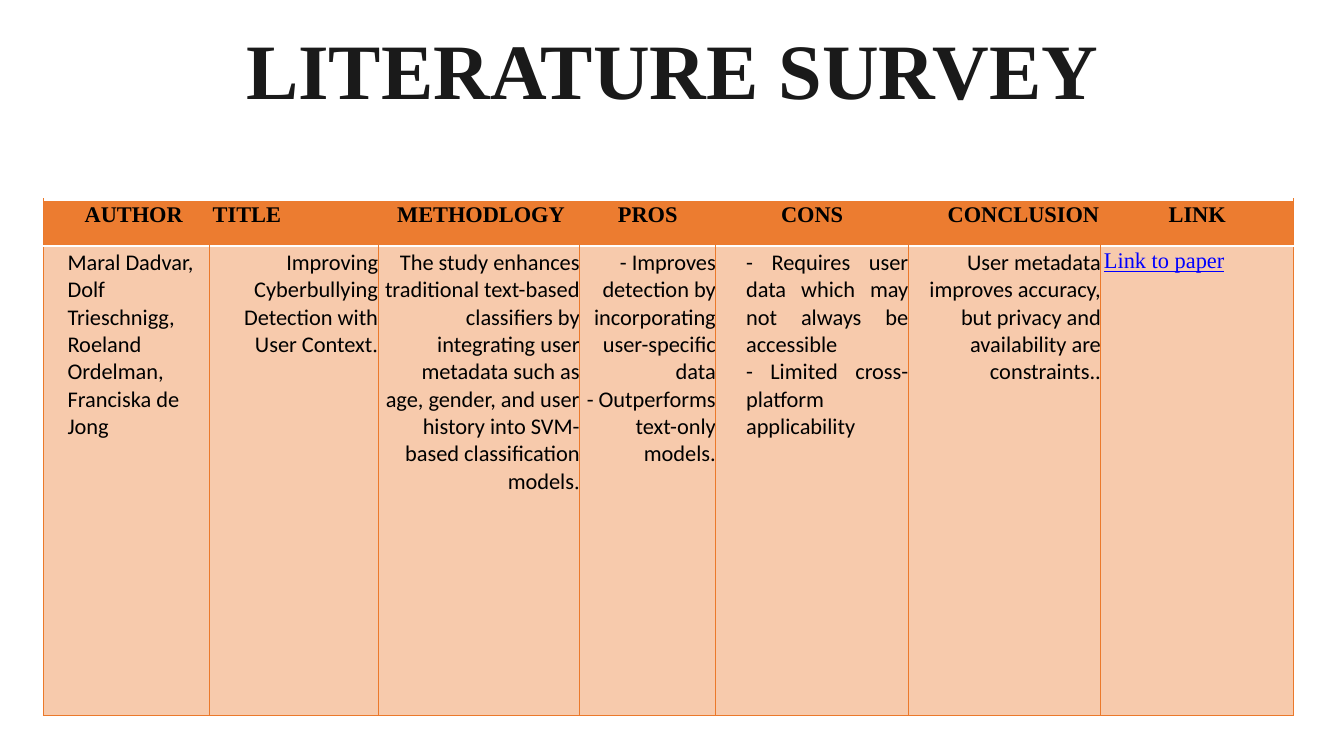
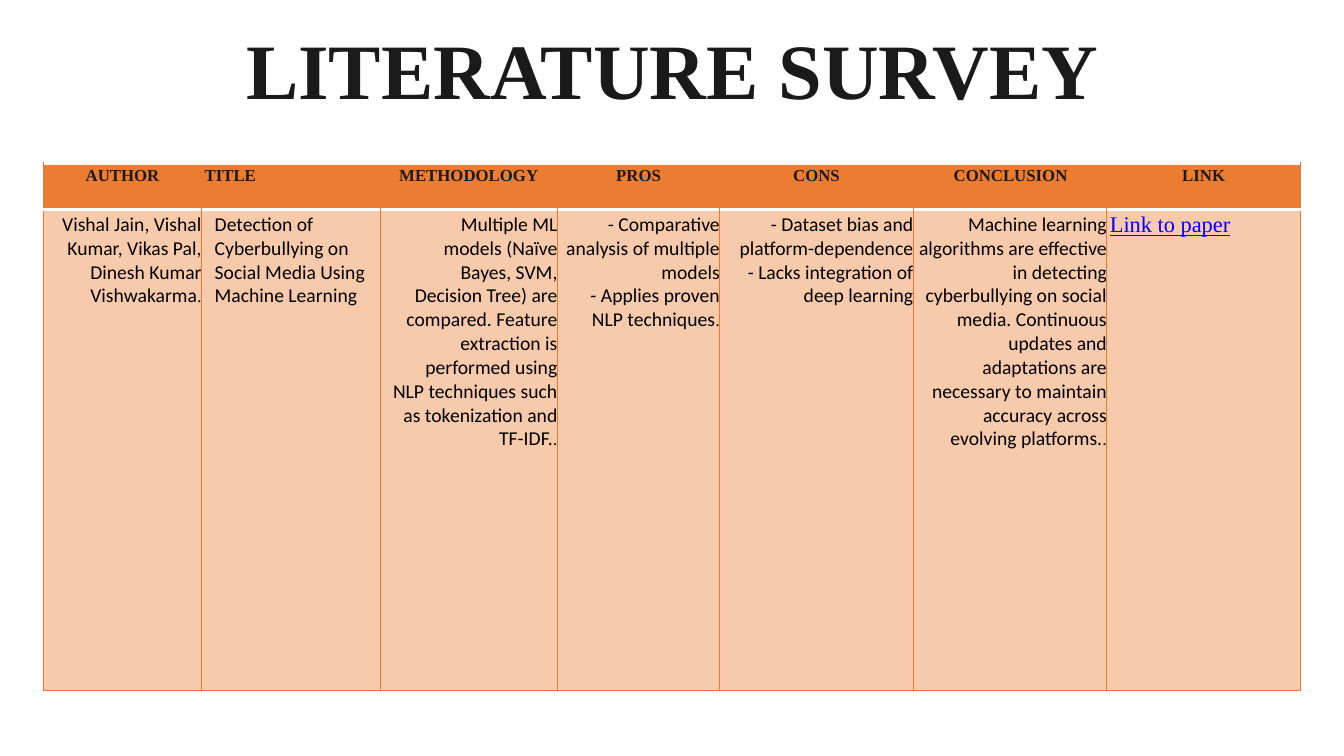
from copy import deepcopy

from lxml.etree import SubElement
from pptx import Presentation
from pptx.dml.color import RGBColor
from pptx.enum.text import PP_ALIGN
from pptx.oxml.ns import qn
from pptx.util import Inches, Pt

COLORS = {"title": "1A1A1A", "black": "000000", "orange": "EC7C30", "line": "EB792B",
          "white": "FFFFFF", "link": "0000FF", "brown": "2D1200"}
SERIF, SANS = "Times New Roman", "Calibri"
LEFT, CENTER, RIGHT, JUSTIFY = PP_ALIGN.LEFT, PP_ALIGN.CENTER, PP_ALIGN.RIGHT, PP_ALIGN.JUSTIFY
NO_STYLE = "{2D5ABB26-0587-4C30-8999-92F81FD0307C}"
TITLE = "LITERATURE SURVEY"
LINK = "Link to paper"

# headers: text, alignment, left margin
# body: text, alignment, left margin, first-line indent, colour of a closing serif dot
SURVEYS = [
    {
        "top": 1.98, "cols": [1.65, 1.67, 2, 1.35, 1.91, 1.91, 1.91], "rows": [0.46, 4.66],
        "header_size": 16, "header_color": "black", "body_size": 16, "dot_size": 16,
        "headers": [("AUTHOR", LEFT, 0.41), ("TITLE", LEFT, 0.03), ("METHODLOGY", LEFT, 0.19),
                    ("PROS", CENTER, 0), ("CONS", CENTER, 0), ("CONCLUSION", LEFT, 0.39),
                    ("LINK", CENTER, 0)],
        "body": [
            ("Maral Dadvar, Dolf Trieschnigg, Roeland Ordelman, Franciska de Jong",
             LEFT, 0.24, 0, None),
            ("Improving Cyberbullying Detection with User Context", RIGHT, 0.26, -0.12, "black"),
            ("The study enhances traditional text-based classifiers by integrating user metadata "
             "such as age, gender, and user history into SVM-based classification models",
             RIGHT, 0.04, 0.11, "black"),
            ("- Improves detection by incorporating user-specific data\v"
             "- Outperforms text-only models.", RIGHT, 0.05, 0.04, None),
            ("- Requires user data which may not always be accessible\v"
             "- Limited cross-platform applicability", JUSTIFY, 0.3, 0, None),
            ("User metadata improves accuracy, but privacy and availability are constraints..",
             RIGHT, 0.1, 0.23, None),
        ],
    },
    {
        "top": 1.62, "cols": [1.57, 1.77, 1.76, 1.61, 1.92, 1.92, 1.92], "rows": [0.46, 4.77],
        "header_size": 12, "header_color": "title", "body_size": 14, "dot_size": 13,
        "headers": [("AUTHOR", LEFT, 0.42), ("TITLE", LEFT, 0.03), ("METHODOLOGY", LEFT, 0.19),
                    ("PROS", CENTER, 0), ("CONS", CENTER, 0), ("CONCLUSION", LEFT, 0.4),
                    ("LINK", CENTER, 0)],
        "body": [
            ("Vishal Jain, Vishal Kumar, Vikas Pal, Dinesh Kumar Vishwakarma", RIGHT, 0, 0, "title"),
            ("Detection of Cyberbullying on Social Media Using Machine Learning",
             LEFT, 0.13, 0, None),
            ("Multiple ML models (Naïve Bayes, SVM, Decision Tree) are compared. Feature extraction "
             "is performed using NLP techniques such as tokenization and TF-IDF.",
             RIGHT, 0.11, 0.1, "brown"),
            ("- Comparative analysis of multiple models\v- Applies proven NLP techniques",
             RIGHT, 0.07, 0.09, "title"),
            ("- Dataset bias and platform-dependence\v- Lacks integration of deep learning",
             RIGHT, 0.09, 0, None),
            ("Machine learning algorithms are effective in detecting cyberbullying on social media. "
             "Continuous updates and adaptations are necessary to maintain accuracy across evolving "
             "platforms.", RIGHT, 0.05, 0.21, "title"),
        ],
    },
]


def rgb(name):
    return RGBColor.from_string(COLORS[name])


def style_run(r, size, font, color, bold=False, underline=False):
    r.font.size, r.font.name, r.font.bold = Pt(size), font, bold
    r.font.color.rgb = rgb(color)
    if underline:
        r.font.underline = True


def write(p, text, size, font, color, align=LEFT, left=0, indent=0, before=2, **style):
    p.text = text
    p.alignment, p.space_before = align, Pt(before)
    pPr = p._p.get_or_add_pPr()
    pPr.set("marL", str(Inches(left)))
    pPr.set("indent", str(Inches(indent)))
    for r in p.runs:
        style_run(r, size, font, color, **style)
    for br in p._p.findall(qn("a:br")):
        br.insert(0, deepcopy(p.runs[0]._r.rPr))


def set_margins(box):
    box.margin_left = box.margin_right = box.margin_bottom = 0
    box.margin_top = Inches(0.03)


def fill_cell(cell, alpha=None):
    cell.fill.solid()
    cell.fill.fore_color.rgb = rgb("orange")
    if alpha:
        color = cell._tc.tcPr.find(".//" + qn("a:srgbClr"))
        SubElement(color, qn("a:alpha"), val=str(alpha * 1000))


def set_borders(cell, borders):
    """Draw the sides given as {side: (colour, points)} ahead of the cell fill."""
    tcPr = cell._tc.tcPr
    sides = [side for side in "LRTB" if side in borders]
    for i, side in enumerate(sides):
        color, width = borders[side]
        ln = SubElement(tcPr, qn("a:ln" + side), w=str(Pt(width)))
        SubElement(SubElement(ln, qn("a:solidFill")), qn("a:srgbClr"), val=COLORS[color])
        tcPr.insert(i, ln)


def add_title(s):
    tf = s.shapes.add_textbox(Inches(2.44), Inches(0.2), Inches(9.22), Inches(1.29)).text_frame
    tf.word_wrap = True
    set_margins(tf)
    tf.margin_top = Inches(0.01)
    write(tf.paragraphs[0], TITLE, 56, SERIF, "title", before=1.1, bold=True)


def add_survey(s, survey):
    cols, rows = survey["cols"], survey["rows"]
    frame = s.shapes.add_table(len(rows), len(cols), Inches(0.43), Inches(survey["top"]),
                               Inches(sum(cols)), Inches(sum(rows)))
    table = frame.table
    table._tbl.tblPr.find(qn("a:tableStyleId")).text = NO_STYLE
    for column, width in zip(table.columns, cols):
        column.width = Inches(width)
    for row, height in zip(table.rows, rows):
        row.height = Inches(height)

    thin, thick = ("line", 0.75), ("white", 2.25)
    last = len(cols) - 1
    for i, (text, align, left) in enumerate(survey["headers"]):
        head, body = table.cell(0, i), table.cell(1, i)
        for cell in (head, body):
            set_margins(cell)
        fill_cell(head)
        fill_cell(body, alpha=40)
        edges = {"T": thick, "B": thick}
        if i == 0:
            edges["L"] = thin
        if i == last:
            edges["R"] = thin
        set_borders(head, edges)
        set_borders(body, {"L": thin, "R": thin, "T": thick, "B": thin})

        write(head.text_frame.paragraphs[0], text, survey["header_size"], SERIF,
              survey["header_color"], align, left, before=2.5, bold=True)
        p = body.text_frame.paragraphs[0]
        if i == last:
            write(p, LINK, 16, SERIF, "link", left=0.03, before=1.9, underline=True)
            continue
        text, align, left, indent, dot = survey["body"][i]
        write(p, text, survey["body_size"], SANS, "black", align, left, indent)
        if dot:
            r = p.add_run()
            r.text = "."
            style_run(r, survey["dot_size"], SERIF, dot)


def main():
    prs = Presentation()
    prs.slide_width, prs.slide_height = Inches(13.33), Inches(7.5)
    for survey in SURVEYS:
        s = prs.slides.add_slide(prs.slide_layouts[6])
        add_title(s)
        add_survey(s, survey)
    prs.save("out.pptx")


if __name__ == "__main__":
    main()
